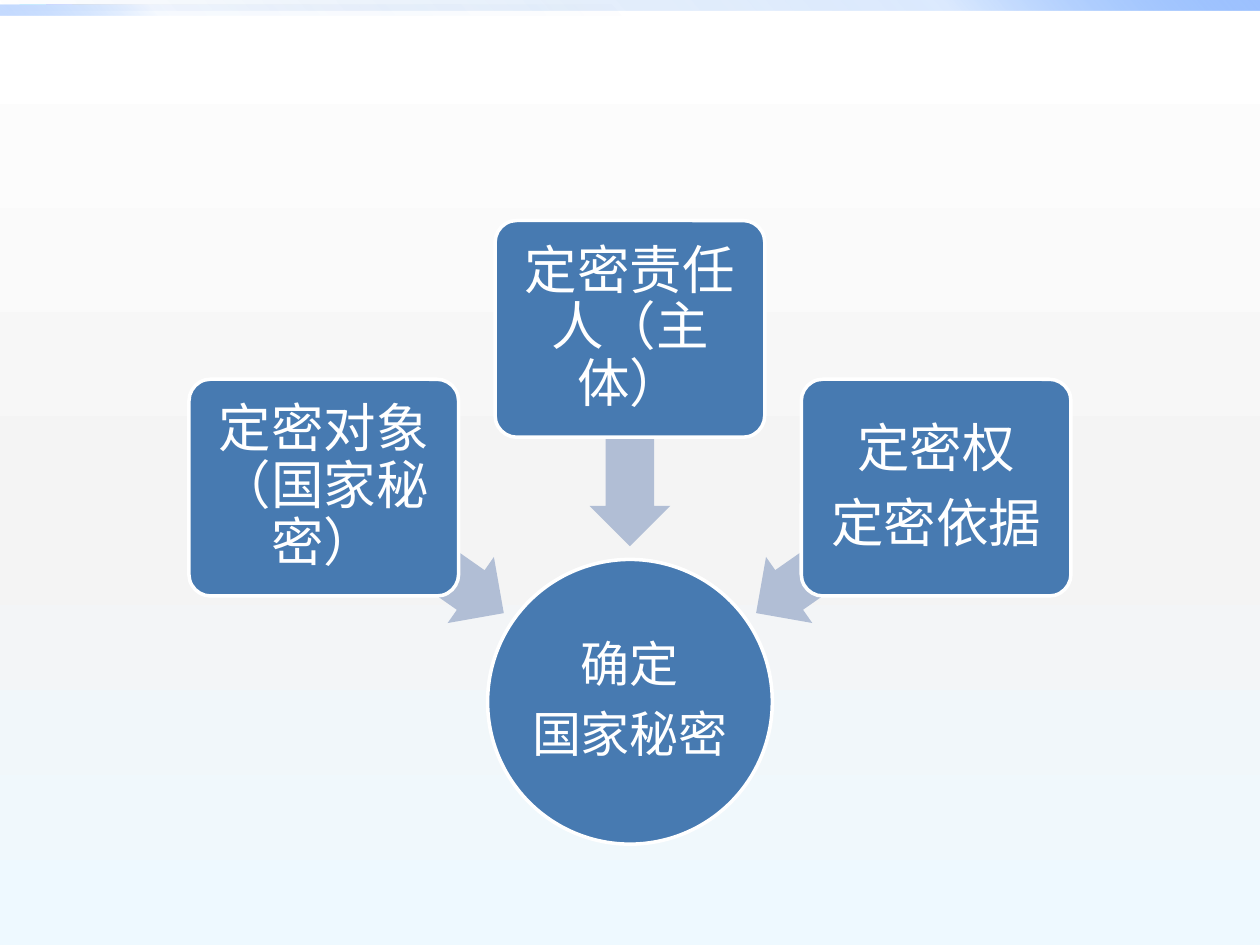
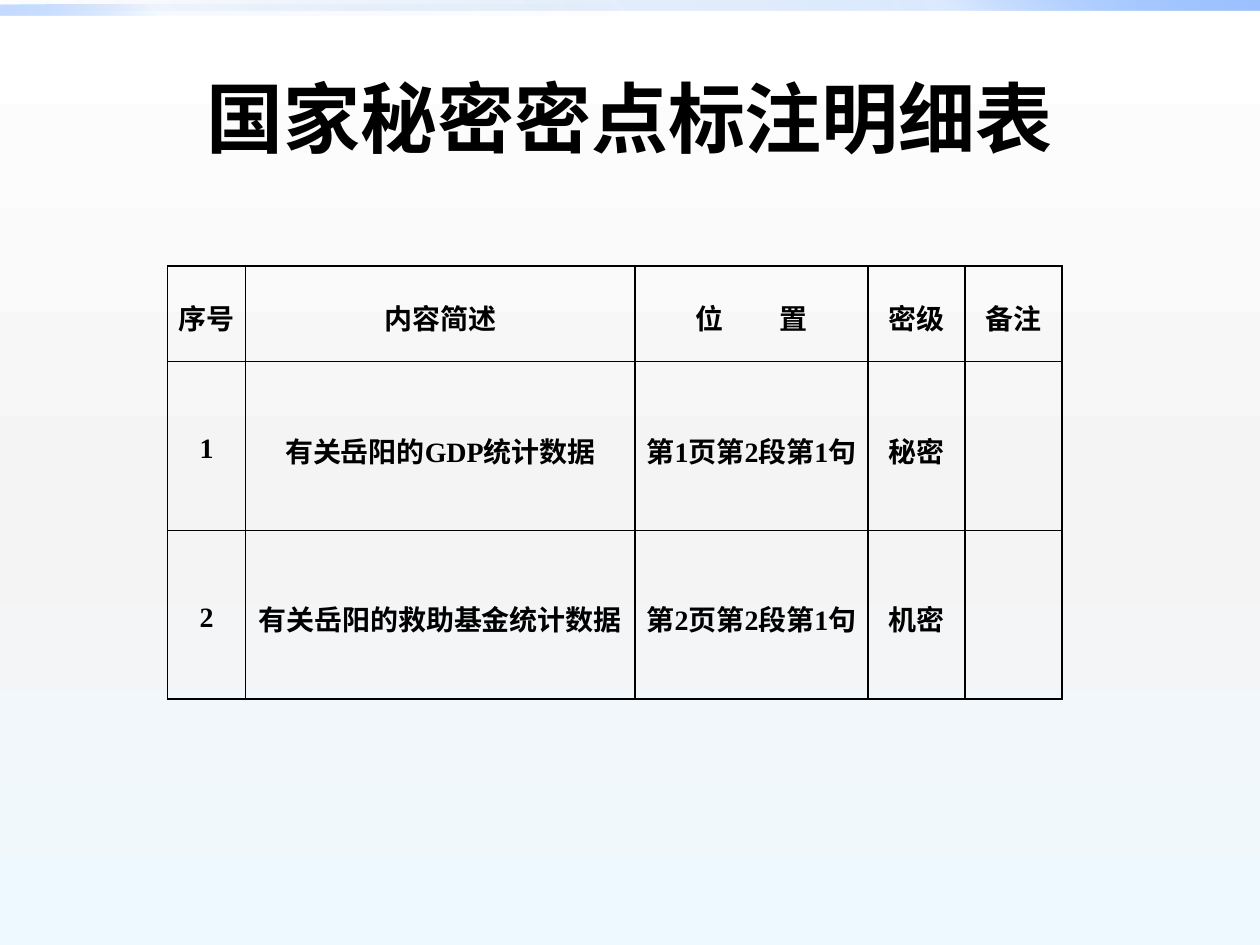
from dataclasses import dataclass
from typing import Any, NamedTuple

from lxml.etree import SubElement
from pptx import Presentation
from pptx.dml.color import RGBColor
from pptx.enum.shapes import MSO_SHAPE
from pptx.enum.text import MSO_ANCHOR, PP_ALIGN
from pptx.oxml.ns import qn
from pptx.util import Inches, Pt

WHITE = RGBColor(0xFF, 0xFF, 0xFF)
BLACK = RGBColor(0x00, 0x00, 0x00)
NODE_BLUE = RGBColor(0x47, 0x7A, 0xB1)
ARROW_BLUE = RGBColor(0xB1, 0xBE, 0xD5)
PALE_GREY = RGBColor(0xF4, 0xF4, 0xF4)
PALE_BLUE = RGBColor(0xEE, 0xF9, 0xFF)
BAND_DARK = RGBColor(0x00, 0x58, 0xB7)
BAND_MID = RGBColor(0x4F, 0x95, 0xFF)
BAND_LIGHT = RGBColor(0x9E, 0xC2, 0xFF)

SLIDE_WIDTH, SLIDE_HEIGHT = 10, 7.5
CENTER = SLIDE_WIDTH / 2


class Stop(NamedTuple):
    position: int
    color: RGBColor
    opacity: int = 100


@dataclass(frozen=True)
class Band:
    top: float
    width: float
    angle: int
    stops: tuple[Stop, ...]


@dataclass(frozen=True)
class Factor:
    """A box leading to the result, placed relative to the slide's centre."""
    lines: tuple[str, ...]
    offset: float
    top: float
    arrow_offset: float
    arrow_top: float
    arrow_rotation: int


@dataclass(frozen=True)
class Column:
    width: float
    side_margin: float
    end_margin: float
    texts: tuple[str, str, str]


@dataclass(frozen=True)
class TextStyle:
    font: str
    size: float
    color: RGBColor
    bold: bool = False
    line_spacing: float = 1.0
    space_after: float = 0


BACKGROUND_STOPS = (Stop(0, WHITE), Stop(55, PALE_GREY), Stop(100, PALE_BLUE))
BANDS = (
    Band(0, SLIDE_WIDTH, 315,
         (Stop(0, BAND_DARK, 0), Stop(75, BAND_MID, 20), Stop(100, BAND_LIGHT))),
    Band(0.04, SLIDE_WIDTH / 2, 135,
         (Stop(0, BAND_DARK, 0), Stop(75, BAND_MID, 5), Stop(100, BAND_LIGHT, 60))),
)
BAND_HEIGHT = 0.08

TITLE_STYLE = TextStyle("Arial", 44, BLACK, bold=True)
FACTOR_STYLE = TextStyle("Cambria", 30, WHITE, line_spacing=0.9, space_after=10.5)
RESULT_STYLE = TextStyle("Cambria", 28, WHITE, line_spacing=0.9, space_after=9.8)
CELL_STYLE = TextStyle("Times New Roman", 16, BLACK, bold=True, line_spacing=1.2)

FACTOR_WIDTH, FACTOR_HEIGHT = 2.14, 1.72
ARROW_WIDTH, ARROW_HEIGHT = 1.73, 0.64
RESULT_TOP, RESULT_SIZE = 4.44, 2.26
FACTORS = (
    Factor(("定密对象（国家秘密）",), -2.43, 3.01, -1.71, 4.05, 215),
    Factor(("定密责任人（主体）",), 0, 1.75, 0, 3.15, 270),
    Factor(("定密权", "定密依据"), 2.43, 3.01, 1.71, 4.05, 325),
)

ROW_HEIGHTS = (0.76, 1.34, 1.34)
COLUMNS = (
    Column(0.62, 0, 0, ("序号", "1", "2")),
    Column(3.09, 0, 0,
           ("内容简述", "有关岳阳的GDP统计数据", "有关岳阳的救助基金统计数据")),
    Column(1.85, 0.02, 0.02, ("位置", "第1页第2段第1句", "第2页第2段第1句")),
    Column(0.77, 0.04, 0.02, ("密级", "秘密", "机密")),
    Column(0.77, 0.04, 0, ("备注", "", "")),
)
SPREAD_HEADING = "位置"
SPREAD_GAP = Pt(32)


def set_gradient(fill: Any, element: Any, stops: tuple[Stop, ...], angle: int) -> None:
    fill.gradient()
    gradient = element.find(".//" + qn("a:gradFill"))
    stop_list = gradient.find(qn("a:gsLst"))
    for default_stop in list(stop_list):
        stop_list.remove(default_stop)
    for stop in stops:
        entry = SubElement(stop_list, qn("a:gs"), pos=str(stop.position * 1000))
        color = SubElement(entry, qn("a:srgbClr"), val=str(stop.color))
        if stop.opacity < 100:
            SubElement(color, qn("a:alpha"), val=str(stop.opacity * 1000))
    gradient.find(qn("a:lin")).set("ang", str(angle * 60000))


def add_plain_shape(slide: Any, kind: MSO_SHAPE, left: float, top: float,
                    width: float, height: float) -> Any:
    shape = slide.shapes.add_shape(
        kind, Inches(left), Inches(top), Inches(width), Inches(height))
    shape.shadow.inherit = False
    shape.line.fill.background()
    return shape


def write_lines(frame: Any, lines: tuple[str, ...], style: TextStyle) -> None:
    frame.text = "\n".join(lines)
    for paragraph in frame.paragraphs:
        paragraph.alignment = PP_ALIGN.CENTER
        paragraph.line_spacing = style.line_spacing
        paragraph.space_after = Pt(style.space_after)
        paragraph.font.name = style.font
        paragraph.font.size = Pt(style.size)
        paragraph.font.bold = style.bold
        paragraph.font.color.rgb = style.color


def add_base_slide(deck: Any) -> Any:
    slide = deck.slides.add_slide(deck.slide_layouts[6])
    set_gradient(slide.background.fill, slide.element, BACKGROUND_STOPS, 90)
    for band in BANDS:
        strip = add_plain_shape(
            slide, MSO_SHAPE.RECTANGLE, 0, band.top, band.width, BAND_HEIGHT)
        set_gradient(strip.fill, strip.element, band.stops, band.angle)
    return slide


def add_title(slide: Any, text: str) -> None:
    title = slide.shapes.add_textbox(Inches(0.5), Inches(0.3), Inches(9), Inches(1.25))
    title.text_frame.word_wrap = True
    title.text_frame.vertical_anchor = MSO_ANCHOR.MIDDLE
    write_lines(title.text_frame, (text,), TITLE_STYLE)


def add_node(slide: Any, kind: MSO_SHAPE, center: float, top: float, width: float,
             height: float, lines: tuple[str, ...], style: TextStyle,
             margin: float) -> Any:
    node = add_plain_shape(slide, kind, center - width / 2, top, width, height)
    node.fill.solid()
    node.fill.fore_color.rgb = NODE_BLUE
    node.line.color.rgb = WHITE
    node.line.width = Pt(2)
    frame = node.text_frame
    frame.word_wrap = True
    frame.vertical_anchor = MSO_ANCHOR.MIDDLE
    frame.margin_left = frame.margin_right = Inches(margin)
    frame.margin_top = frame.margin_bottom = Inches(margin)
    write_lines(frame, lines, style)
    return node


def add_factor(slide: Any, factor: Factor) -> None:
    arrow = add_plain_shape(
        slide, MSO_SHAPE.LEFT_ARROW, CENTER + factor.arrow_offset - ARROW_WIDTH / 2,
        factor.arrow_top, ARROW_WIDTH, ARROW_HEIGHT)
    arrow.adjustments[0] = 0.6
    arrow.adjustments[1] = 0.5
    arrow.rotation = factor.arrow_rotation
    arrow.fill.solid()
    arrow.fill.fore_color.rgb = ARROW_BLUE
    box = add_node(slide, MSO_SHAPE.ROUNDED_RECTANGLE, CENTER + factor.offset, factor.top,
                   FACTOR_WIDTH, FACTOR_HEIGHT, factor.lines, FACTOR_STYLE, 0.06)
    box.adjustments[0] = 0.1


def add_borders(cell: Any) -> None:
    properties = cell._tc.get_or_add_tcPr()
    for index, side in enumerate(("lnL", "lnR", "lnT", "lnB")):
        border = properties.makeelement(qn(f"a:{side}"), {"w": str(Pt(1))})
        solid = SubElement(border, qn("a:solidFill"))
        SubElement(solid, qn("a:srgbClr"), val=str(BLACK))
        properties.insert(index, border)


def spread_heading(paragraph: Any) -> None:
    """Widen the gap after the first character by letter spacing."""
    first, *rest = paragraph.text
    paragraph.runs[0].text = first
    paragraph.runs[0]._r.get_or_add_rPr().set("spc", str(int(SPREAD_GAP.pt * 100)))
    paragraph.add_run().text = "".join(rest)


def add_marking_table(slide: Any) -> None:
    width = sum(column.width for column in COLUMNS)
    table = slide.shapes.add_table(
        len(ROW_HEIGHTS), len(COLUMNS), Inches(1.33), Inches(2.11),
        Inches(width), Inches(sum(ROW_HEIGHTS))).table
    table.first_row = table.horz_banding = False
    for row, height in zip(table.rows, ROW_HEIGHTS):
        row.height = Inches(height)
    for column_index, column in enumerate(COLUMNS):
        table.columns[column_index].width = Inches(column.width)
        for row_index, text in enumerate(column.texts):
            cell = table.cell(row_index, column_index)
            cell.fill.background()
            cell.vertical_anchor = MSO_ANCHOR.MIDDLE
            cell.margin_left = cell.margin_right = Inches(column.side_margin)
            cell.margin_top = cell.margin_bottom = Inches(column.end_margin)
            write_lines(cell.text_frame, (text,), CELL_STYLE)
            if text == SPREAD_HEADING:
                spread_heading(cell.text_frame.paragraphs[0])
            add_borders(cell)


def build_factors_slide(deck: Any) -> None:
    slide = add_base_slide(deck)
    add_node(slide, MSO_SHAPE.OVAL, CENTER, RESULT_TOP, RESULT_SIZE, RESULT_SIZE,
             ("确定", "国家秘密"), RESULT_STYLE, 0.02)
    for factor in FACTORS:
        add_factor(slide, factor)


def build_marking_slide(deck: Any) -> None:
    slide = add_base_slide(deck)
    add_title(slide, "国家秘密密点标注明细表")
    add_marking_table(slide)


def main() -> None:
    deck = Presentation()
    deck.slide_width = Inches(SLIDE_WIDTH)
    deck.slide_height = Inches(SLIDE_HEIGHT)
    build_factors_slide(deck)
    build_marking_slide(deck)
    deck.save("out.pptx")


if __name__ == "__main__":
    main()
